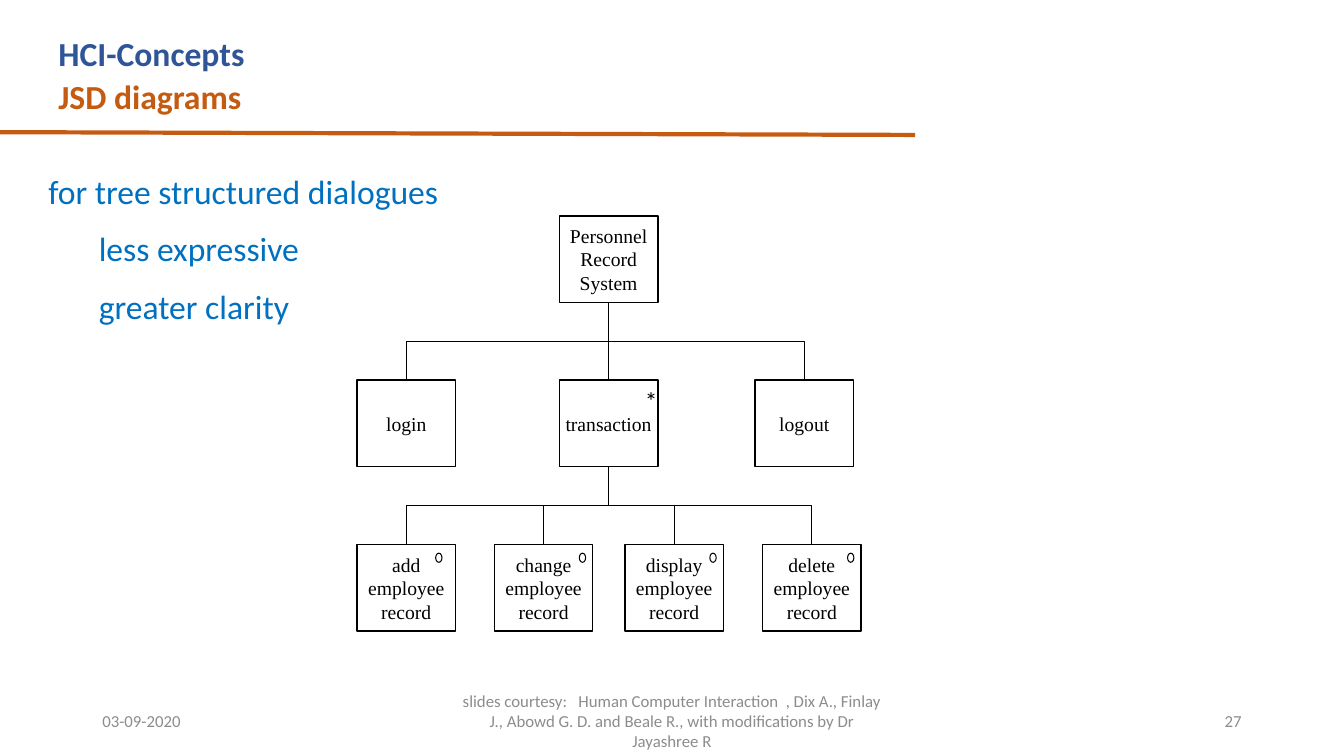
from copy import deepcopy

from pptx import Presentation
from pptx.dml.color import RGBColor
from pptx.enum.shapes import MSO_CONNECTOR, MSO_SHAPE
from pptx.enum.text import MSO_ANCHOR, MSO_AUTO_SIZE, PP_ALIGN
from pptx.oxml.ns import qn
from pptx.util import Cm, Pt

COLORS = {
    "heading": "2F5597",
    "accent": "C55A11",
    "body": "0070C0",
    "footer": "8C8C8C",
    "ink": "000000",
    "paper": "FFFFFF",
}
NODE_W, NODE_H, LEVEL_STEP = 2.48, 2.18, 4.14
ACTIONS = ["add", "change", "display", "delete"]


def rgb(name):
    return RGBColor.from_string(COLORS[name])


def write(tf, text, size=24, color="ink", font="Calibri", bold=False,
          align=PP_ALIGN.LEFT, anchor=MSO_ANCHOR.TOP, wrap=True,
          level=0, before=0, new=False):
    tf.word_wrap = wrap
    tf.vertical_anchor = anchor
    p = tf.add_paragraph() if new else tf.paragraphs[0]
    p.text = text
    p.alignment = align
    p.level = level
    p.space_before = Pt(before)
    if level:
        p._p.get_or_add_pPr().set("marL", str(Cm(1.27 * level)))
    for r in p.runs:
        r.font.name = font
        r.font.size = Pt(size)
        r.font.bold = bold
        r.font.color.rgb = rgb(color)
    for br in p._p.findall(qn("a:br")):
        br.append(deepcopy(p.runs[0]._r.rPr))


def text_box(s, x, y, w, h, text, **fmt):
    tf = s.shapes.add_textbox(Cm(x), Cm(y), Cm(w), Cm(h)).text_frame
    write(tf, text, **fmt)
    return tf


def style_line(cxn, color, width):
    cxn.line.color.rgb = rgb(color)
    cxn.line.width = Pt(width)
    cxn._element.spPr.append(cxn._element.makeelement(qn("a:effectLst"), {}))


def add_outlined(s, kind, x, y, w, h, width):
    sp = s.shapes.add_shape(kind, Cm(x), Cm(y), Cm(w), Cm(h))
    sp.shadow.inherit = False
    sp.fill.solid()
    sp.fill.fore_color.rgb = rgb("paper")
    sp.line.color.rgb = rgb("ink")
    sp.line.width = Pt(width)
    return sp


def add_header(s, x, y, w):
    title = s.shapes.title
    title.left, title.top, title.width, title.height = Cm(x), Cm(y), Cm(w), Cm(1.27)
    title.text_frame.auto_size = MSO_AUTO_SIZE.NONE
    write(title.text_frame, "HCI-Concepts", color="heading", bold=True)
    text_box(s, x, y + 1.09, w, 1.27, "JSD diagrams", color="accent", bold=True)
    rule = s.shapes.add_connector(MSO_CONNECTOR.STRAIGHT, 0, Cm(y + 2.62), Cm(23.06), Cm(y + 2.69))
    style_line(rule, "accent", 3)


def add_points(s, x, y, w, h):
    tf = text_box(s, x, y, w, h, "for tree structured dialogues", color="body")
    for point in ["less expressive", "greater clarity"]:
        write(tf, point, color="body", level=1, before=12, new=True)


def add_node(s, center, y, text):
    sp = add_outlined(s, MSO_SHAPE.RECTANGLE, center - NODE_W / 2, y, NODE_W, NODE_H, 1)
    write(sp.text_frame, text, size=14, font="Times New Roman",
          align=PP_ALIGN.CENTER, anchor=MSO_ANCHOR.MIDDLE, wrap=False)
    return sp


def connect(s, parent, child):
    x1, y1 = parent.left + parent.width // 2, parent.top + parent.height
    x2, y2 = child.left + child.width // 2, child.top
    kind = MSO_CONNECTOR.STRAIGHT if x1 == x2 else MSO_CONNECTOR.ELBOW
    cxn = s.shapes.add_connector(kind, x1, y1, x2, y2)
    cxn.begin_connect(parent, 2)
    cxn.end_connect(child, 0)
    if x1 != x2:
        drop, span = y2 - y1, abs(x2 - x1)
        xfrm = cxn._element.spPr.find(qn("a:xfrm"))
        xfrm.attrib.clear()
        xfrm.set("rot", "5400000" if x2 < x1 else "16200000")
        if x2 > x1:
            xfrm.set("flipH", "1")
        cxn.left = (x1 + x2 - drop) // 2
        cxn.top = (y1 + y2 - span) // 2
        cxn.width, cxn.height = drop, span
    style_line(cxn, "ink", 0.75)


def add_tree(s, x, y):
    middle, tops = x + 6.34, [y + i * LEVEL_STEP for i in range(3)]
    root = add_node(s, middle, tops[0], "Personnel\nRecord\nSystem")
    login, transaction, logout = [
        add_node(s, center, tops[1], name)
        for center, name in [(x + 1.24, "login"), (middle, "transaction"), (x + 11.27, "logout")]
    ]
    text_box(s, middle + 0.66, tops[1], 0.89, 1.31, "*", size=18)
    leaves = []
    for offset, mark, action in zip([0, 3.46, 6.75, 10.22], [1.98, 2.14, 2.14, 2.14], ACTIONS):
        leaves.append(add_node(s, x + offset + 1.24, tops[2], f"{action}\nemployee\nrecord"))
        add_outlined(s, MSO_SHAPE.OVAL, x + offset + mark, tops[2] + 0.22, 0.16, 0.23, 0.75)
    for parent, children in [(root, [transaction, login, logout]), (transaction, leaves)]:
        for child in children:
            connect(s, parent, child)


def add_footer(s, x, y, h):
    credit = ("slides courtesy:   Human Computer Interaction  , Dix A., Finlay J., "
              "Abowd G. D. and Beale R., with modifications by Dr Jayashree R")
    for offset, w, text, align in [
        (0, 7.62, "03-09-2020", PP_ALIGN.LEFT),
        (8.89, 11.43, credit, PP_ALIGN.CENTER),
        (21.59, 7.62, "27", PP_ALIGN.RIGHT),
    ]:
        text_box(s, x + offset, y, w, h, text, size=12, color="footer",
                 align=align, anchor=MSO_ANCHOR.MIDDLE)


def main():
    prs = Presentation()
    prs.slide_width, prs.slide_height = Cm(33.87), Cm(19.05)
    s = prs.slides.add_slide(prs.slide_layouts[5])
    add_header(s, 1.22, 0.71, 20)
    add_points(s, 0.97, 4.19, 24.43, 4.37)
    add_tree(s, 9, 5.44)
    add_footer(s, 2.33, 17.65, 1.02)
    prs.save("out.pptx")


if __name__ == "__main__":
    main()
